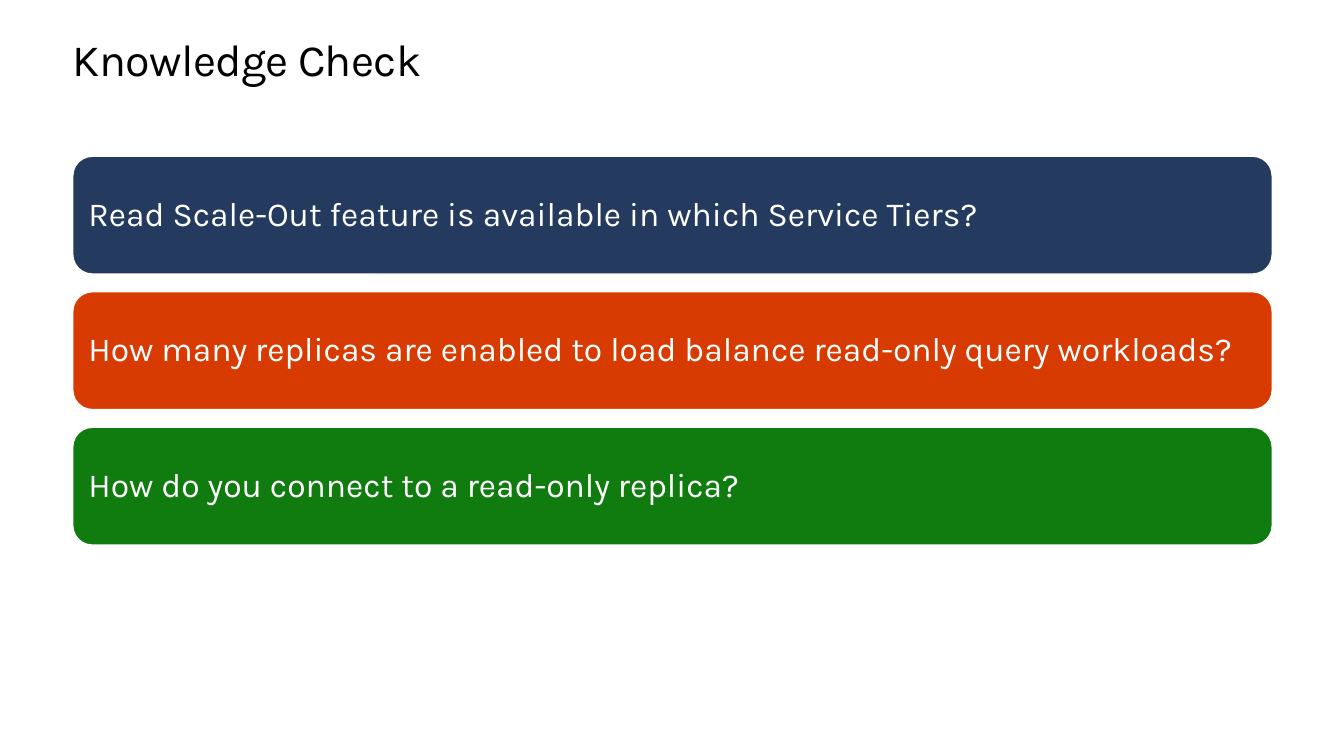
from dataclasses import dataclass

from pptx import Presentation
from pptx import util as u
from pptx.dml.color import RGBColor
from pptx.enum import shapes, text


@dataclass(frozen=True)
class Theme:
    font: str = "Karla"
    title_size: float = 32
    question_size: float = 24
    black: str = "000000"
    white: str = "FFFFFF"
    navy: str = "243A5E"
    orange: str = "D83B01"
    green: str = "107C10"


THEME = Theme()

QUESTIONS = [
    ("Read Scale-Out feature is available in which Service Tiers?", THEME.navy),
    ("How many replicas are enabled to load balance read-only query workloads?", THEME.orange),
    ("How do you connect to a read-only replica?", THEME.green),
]


def rgb(color):
    return RGBColor.from_string(color)


def write(tf, content, size, color, inset, anchor):
    tf.text = content
    tf.word_wrap = True
    tf.vertical_anchor = anchor
    tf.margin_left = tf.margin_right = u.Pt(inset)
    tf.margin_top = tf.margin_bottom = u.Pt(inset)
    p = tf.paragraphs[0]
    p.alignment = text.PP_ALIGN.LEFT
    r = p.runs[0]
    r.font.name = THEME.font
    r.font.size = u.Pt(size)
    r.font.color.rgb = rgb(color)
    return p


def add_title(s, content, left, top, width, height):
    sp = s.shapes.title
    sp.left, sp.top, sp.width, sp.height = map(u.Pt, (left, top, width, height))
    tf = sp.text_frame
    p = write(tf, content, THEME.title_size, THEME.black, 0, text.MSO_ANCHOR.TOP)
    tf.auto_size = text.MSO_AUTO_SIZE.SHAPE_TO_FIT_TEXT
    p.line_spacing = u.Pt(36.2)
    p.runs[0].font._element.set("spc", "-50")


def add_questions(s, questions, left, top, width, height, gap=12.6):
    bar_height = (height - gap * (len(questions) - 1)) / len(questions)
    for i, (question, color) in enumerate(questions):
        bar_top = top + i * (bar_height + gap)
        sp = s.shapes.add_shape(
            shapes.MSO_SHAPE.ROUNDED_RECTANGLE,
            u.Pt(left), u.Pt(bar_top), u.Pt(width), u.Pt(bar_height),
        )
        sp.shadow.inherit = False
        sp.fill.solid()
        sp.fill.fore_color.rgb = rgb(color)
        sp.line.color.rgb = rgb(THEME.white)
        sp.line.width = u.Pt(1)
        p = write(sp.text_frame, question, THEME.question_size, THEME.white,
                  7.2, text.MSO_ANCHOR.MIDDLE)
        p.line_spacing = 0.9


def main():
    prs = Presentation()
    prs.slide_width, prs.slide_height = u.Pt(960), u.Pt(540)
    s = prs.slides.add_slide(prs.slide_layouts[5])
    add_title(s, "Knowledge Check", 52, 25.2, 856.8, 36.2)
    add_questions(s, QUESTIONS, 52, 111.6, 856.8, 277.8)
    prs.save("out.pptx")


if __name__ == "__main__":
    main()
